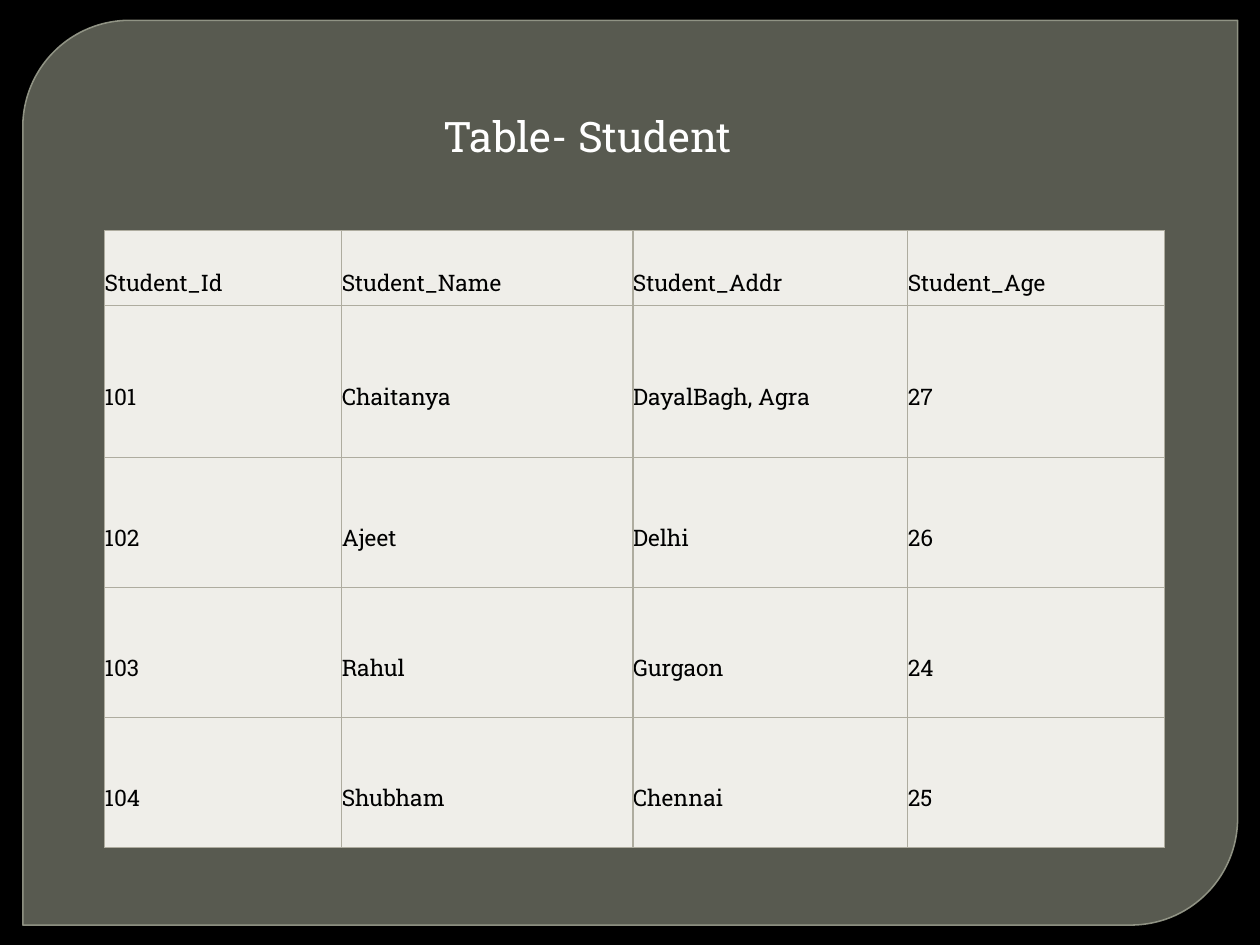
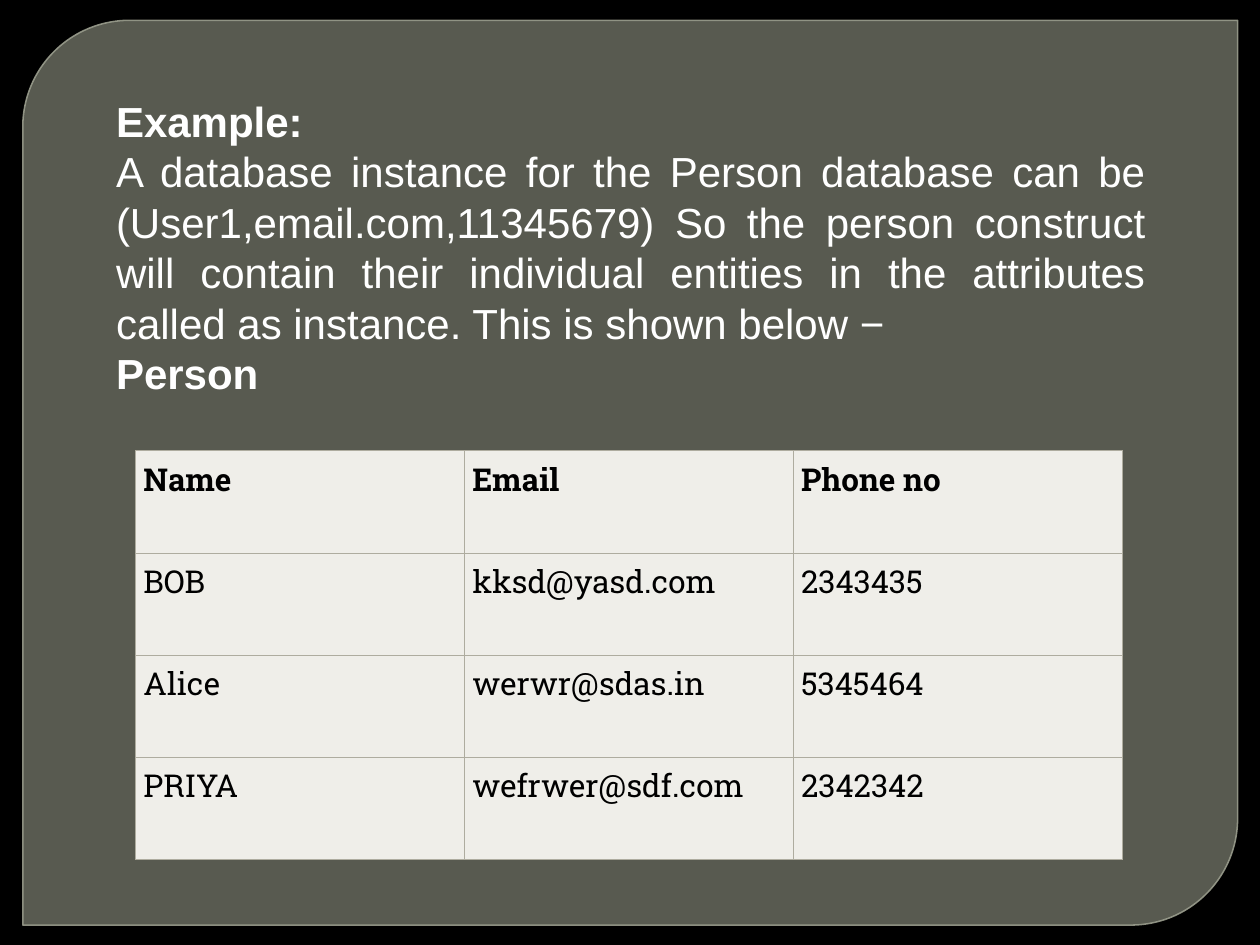
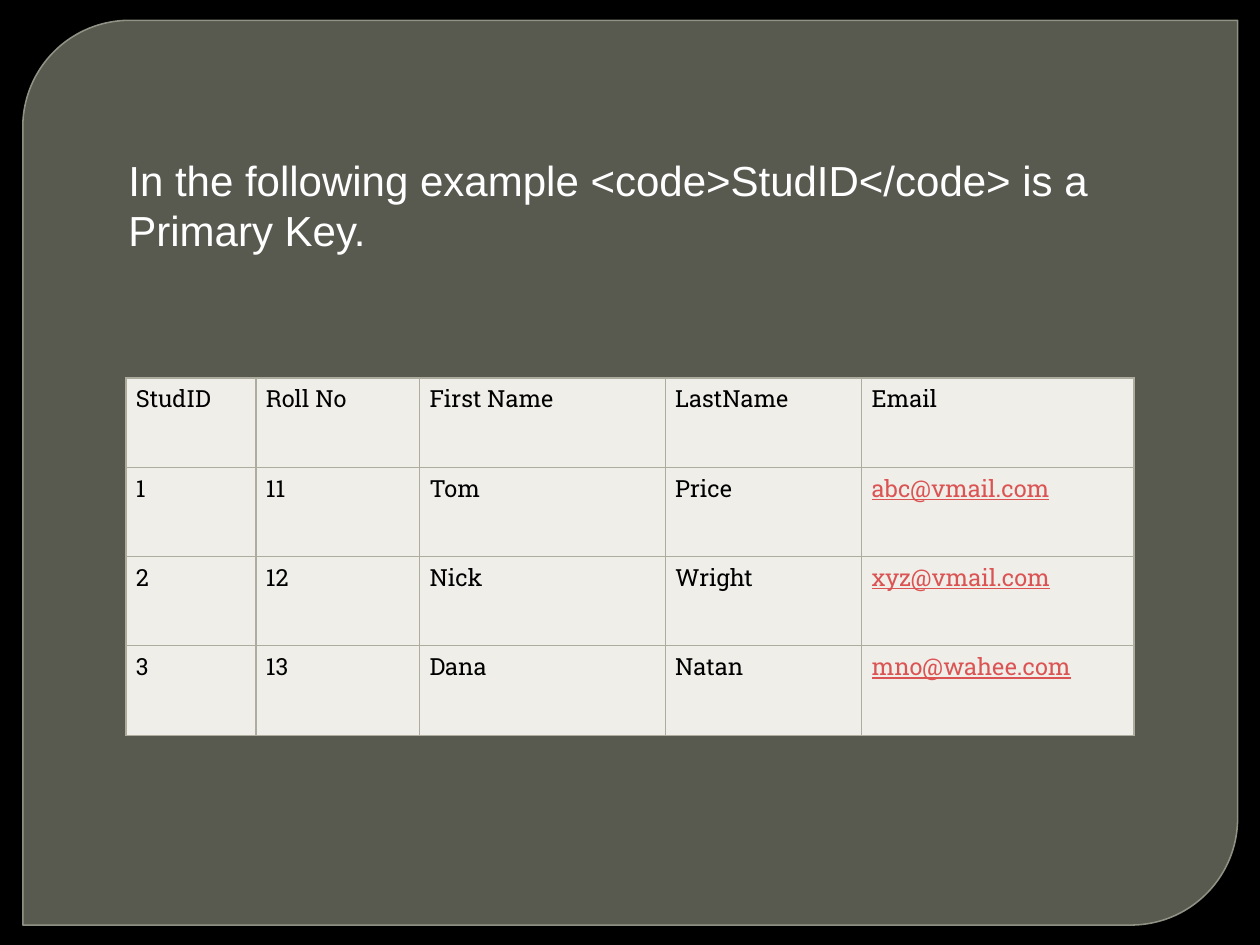
"""Build three slides of database tables on a dark rounded panel."""
from dataclasses import dataclass

from lxml import etree
from pptx import Presentation
from pptx import util as u
from pptx.dml.color import RGBColor
from pptx.enum import shapes, text
from pptx.oxml.ns import qn


@dataclass(frozen=True)
class Theme:
    """Colours, fonts and type sizes of the deck."""
    backdrop: str = "000000"
    panel: str = "888B7B"
    panel_line: str = "9DA090"
    cell: str = "EFEEE9"
    border: str = "AEAC9F"
    ink: str = "000000"
    light: str = "FFFFFF"
    link: str = "DB5353"
    serif: str = "Roboto Slab"
    sans: str = "Arial"
    heading: float = 24
    large: float = 18
    medium: float = 13.5
    small: float = 13


THEME = Theme()


def set_all(target, values):
    """Set every attribute named in a dict."""
    for name, value in values.items():
        setattr(target, name, value)


def lengths(values):
    """Turn centimetre numbers into lengths."""
    return [u.Cm(value) for value in values]


def set_alpha(fill_parent, percent):
    """Make the solid fill below an element partly transparent."""
    colour = fill_parent.find(qn("a:solidFill"))[0]
    etree.SubElement(colour, qn("a:alpha"), val=str(percent * 1000))


def write_span(para, words, size, font, colour, bold=False, underline=False):
    """Add one formatted run to a paragraph."""
    span = para.add_run()
    span.text = words
    set_all(span.font, {"size": u.Pt(size), "name": font, "bold": bold, "underline": underline})
    span.font.color.rgb = RGBColor.from_string(colour)


def add_page(deck):
    """Add a blank page with the shared panel."""
    page = deck.slides.add_slide(deck.slide_layouts[6])
    panel = page.shapes.add_shape(
        shapes.MSO_SHAPE.ROUND_2_DIAG_RECTANGLE, *lengths((0.46, 0.41, 24.49, 18.24)))
    panel.shadow.inherit = False
    panel.adjustments[0] = 0.118
    panel.adjustments[1] = 0
    panel.fill.solid()
    panel.fill.fore_color.rgb = RGBColor.from_string(THEME.panel)
    panel.line.color.rgb = RGBColor.from_string(THEME.panel_line)
    panel.line.width = u.Pt(0.87)
    properties = panel.element.spPr
    set_alpha(properties, 65)
    set_alpha(properties.find(qn("a:ln")), 88)
    return page


def add_text(page, place, lines, font, inset=None, **para_format):
    """Add a text box of (words, bold) lines in heading size."""
    box = page.shapes.add_textbox(*lengths(place))
    frame = box.text_frame
    set_all(frame, {"word_wrap": True, "auto_size": text.MSO_AUTO_SIZE.SHAPE_TO_FIT_TEXT,
                    "vertical_anchor": text.MSO_ANCHOR.MIDDLE})
    if inset is not None:
        set_all(frame, {f"margin_{side}": u.Cm(inset) for side in ("left", "top", "right", "bottom")})
    for index, (words, bold) in enumerate(lines):
        para = frame.add_paragraph() if index else frame.paragraphs[0]
        set_all(para, para_format)
        write_span(para, words, THEME.heading, font, THEME.light, bold)


def add_borders(cell):
    """Draw thin lines on all four sides of a cell."""
    properties = cell._tc.get_or_add_tcPr()
    for side in ("lnL", "lnR", "lnT", "lnB"):
        line = etree.SubElement(properties, qn(f"a:{side}"), w=str(u.Pt(0.75)))
        fill = etree.SubElement(line, qn("a:solidFill"))
        etree.SubElement(fill, qn("a:srgbClr"), val=THEME.border)


def add_grid(page, corner, widths, heights, rows, size, inset,
             anchor=text.MSO_ANCHOR.TOP, bold_header=False, link_column=None, **para_format):
    """Add a table with plain bordered cells."""
    frame = page.shapes.add_table(
        len(rows), len(widths), *lengths((*corner, sum(widths), sum(heights))))
    table = frame.table
    set_all(table, {"first_row": False, "horz_banding": False})
    for column, width in zip(table.columns, widths):
        column.width = u.Cm(width)
    side_inset, end_inset = lengths(inset)
    cell_format = {"margin_left": side_inset, "margin_right": side_inset,
                   "margin_top": end_inset, "margin_bottom": end_inset,
                   "vertical_anchor": anchor}
    for row_index, (height, row) in enumerate(zip(heights, rows)):
        table.rows[row_index].height = u.Cm(height)
        for column_index, words in enumerate(row):
            cell = table.cell(row_index, column_index)
            add_borders(cell)
            cell.fill.solid()
            cell.fill.fore_color.rgb = RGBColor.from_string(THEME.cell)
            set_all(cell, cell_format)
            para = cell.text_frame.paragraphs[0]
            set_all(para, para_format)
            header = row_index == 0
            linked = column_index == link_column and not header
            write_span(para, words, size, THEME.serif, THEME.link if linked else THEME.ink,
                       bold_header and header, linked)


def student_page(deck):
    """Show the Student table."""
    page = add_page(deck)
    rows = [("Student_Id", "Student_Name", "Student_Addr", "Student_Age"),
            ("101", "Chaitanya", "DayalBagh, Agra", "27"),
            ("102", "Ajeet", "Delhi", "26"),
            ("103", "Rahul", "Gurgaon", "24"),
            ("104", "Shubham", "Chennai", "25")]
    add_grid(page, (2.11, 4.65), (4.78, 5.87, 5.54, 5.18), (1.35, 3.07, *[2.62] * 3), rows,
             THEME.small, (0, 0.15), text.MSO_ANCHOR.MIDDLE,
             line_spacing=2.0, space_after=u.Pt(30))
    add_text(page, (8.69, 2.11, 8.89, 1.27), [("Table- Student", False)], THEME.serif)


def person_page(deck):
    """Show an instance of the Person database."""
    page = add_page(deck)
    rows = [("Name", "Email", "Phone no"),
            ("BOB", "kksd@yasd.com", "2343435"),
            ("Alice", "werwr@sdas.in", "5345464"),
            ("PRIYA", "wefrwer@sdf.com", "2342342")]
    add_grid(page, (2.74, 9.09), [6.63] * 3, [2.06] * 4, rows,
             THEME.large, (0.15, 0.15), bold_header=True)
    lines = [("Example:", True),
             ("A database instance for the Person database can be "
              "(User1,email.com,11345679) So the person construct will contain their "
              "individual entities in the attributes called as instance. "
              "This is shown below −", False),
             ("Person", True)]
    add_text(page, (2.34, 1.9, 20.75, 6.15), lines, THEME.sans, inset=0,
             alignment=text.PP_ALIGN.JUSTIFY)


def key_page(deck):
    """Show a table with a primary key."""
    page = add_page(deck)
    rows = [("StudID", "Roll No", "First Name", "LastName", "Email"),
            ("1", "11", "Tom", "Price", "abc@vmail.com"),
            ("2", "12", "Nick", "Wright", "xyz@vmail.com"),
            ("3", "13", "Dana", "Natan", "mno@wahee.com")]
    add_grid(page, (2.54, 7.62), (2.62, 3.3, 4.95, 3.96, 5.49), [1.8] * 4, rows,
             THEME.medium, (0.2, 0.2), link_column=4,
             line_spacing=u.Pt(15), space_after=u.Pt(15))
    add_text(page, (2.34, 2.97, 20.95, 2.31),
             [("In the following example <code>StudID</code> is a Primary Key.", False)],
             THEME.sans)


def main():
    """Build and save the deck."""
    deck = Presentation()
    set_all(deck, {"slide_width": u.Cm(25.4), "slide_height": u.Cm(19.05)})
    backdrop = deck.slide_master.background.fill
    backdrop.solid()
    backdrop.fore_color.rgb = RGBColor.from_string(THEME.backdrop)
    for build in (student_page, person_page, key_page):
        build(deck)
    deck.save("out.pptx")


if __name__ == "__main__":
    main()
